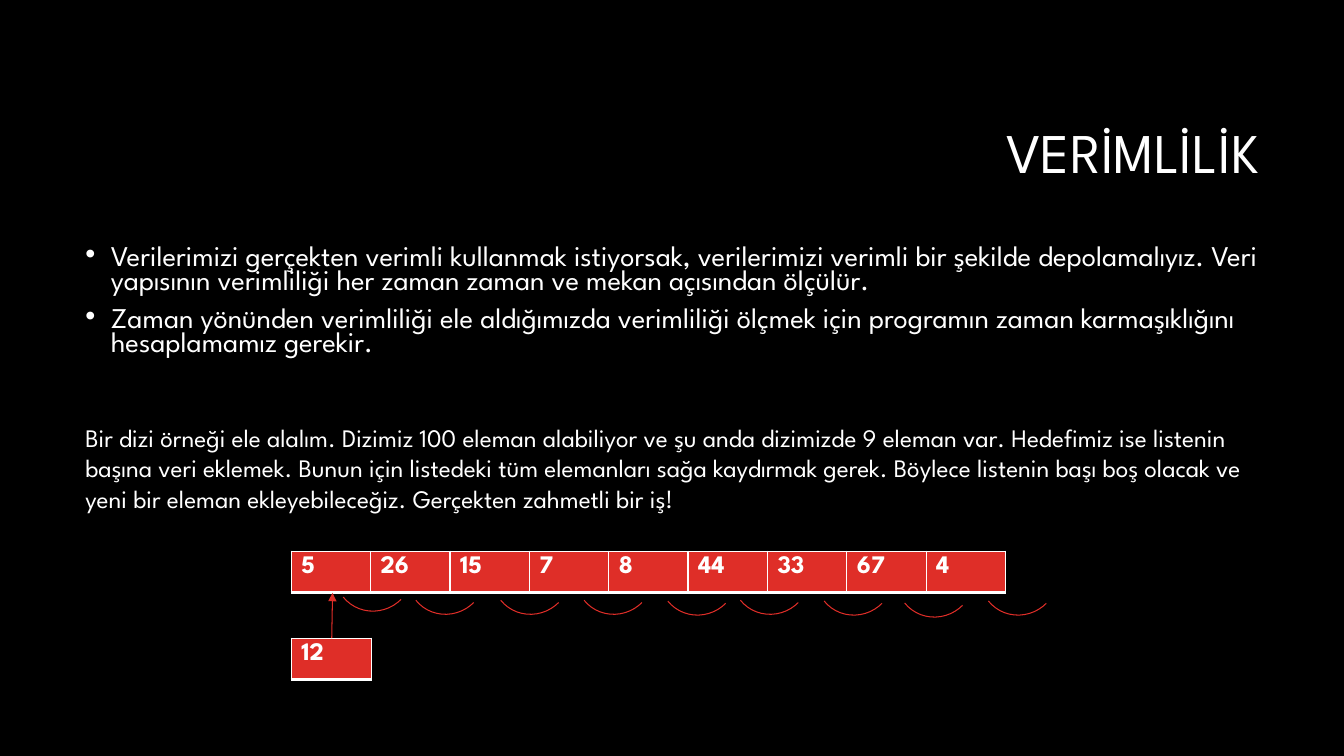
from lxml import etree
from pptx import Presentation
from pptx.dml.color import RGBColor
from pptx.enum.shapes import MSO_CONNECTOR, MSO_SHAPE
from pptx.enum.text import MSO_ANCHOR, MSO_AUTO_SIZE, PP_ALIGN
from pptx.oxml.ns import qn
from pptx.util import Cm, Pt

ARC = MSO_SHAPE.ARC
STRAIGHT = MSO_CONNECTOR.STRAIGHT
MIDDLE, TOP = MSO_ANCHOR.MIDDLE, MSO_ANCHOR.TOP
RIGHT, LEFT = PP_ALIGN.RIGHT, PP_ALIGN.LEFT
NO_AUTOFIT = MSO_AUTO_SIZE.NONE

TITLE = "VERİMLİLİK"
BULLETS = [
    "Verilerimizi gerçekten verimli kullanmak istiyorsak, verilerimizi verimli bir şekilde "
    "depolamalıyız. Veri yapısının verimliliği her zaman zaman ve mekan açısından ölçülür.",
    "Zaman yönünden verimliliği ele aldığımızda verimliliği ölçmek için programın zaman "
    "karmaşıklığını hesaplamamız gerekir.",
]
EXAMPLE = (
    "Bir dizi örneği ele alalım. Dizimiz 100 eleman alabiliyor ve şu anda dizimizde 9 eleman var. "
    "Hedefimiz ise listenin başına veri eklemek. Bunun için listedeki tüm elemanları sağa kaydırmak "
    "gerek. Böylece listenin başı boş olacak ve yeni bir eleman ekleyebileceğiz. "
    "Gerçekten zahmetli bir iş!"
)
ARRAY_VALUES = ["5", "26", "15", "7", "8", "44", "33", "67", "4"]
NEW_VALUE = "12"
ARRAY_LEFT = 7.34
SHIFT_ARCS = [
    (8.43, 13.46), (10.26, 13.54), (12.4, 13.54), (14.5, 13.54), (16.61, 13.56),
    (18.44, 13.54), (20.55, 13.56), (22.58, 13.61), (24.69, 13.56),
]


def color(hex_code):
    return RGBColor.from_string(hex_code)


class SlideBuilder:
    font = "League Spartan"
    background, text, accent = "000000", "FFFFFF", "DF2E28"

    def __init__(self, presentation):
        self.slide = presentation.slides.add_slide(presentation.slide_layouts[1])
        fill = self.slide.background.fill
        fill.solid()
        fill.fore_color.rgb = color(self.background)

    def place(self, shape, left, top, width, height):
        shape.left, shape.top = Cm(left), Cm(top)
        shape.width, shape.height = Cm(width), Cm(height)

    def format_text(self, paragraph, size, bold=False):
        for run in paragraph.runs:
            run.font.name = self.font
            run.font.size = Pt(size)
            run.font.bold = bold
            run.font.color.rgb = color(self.text)

    def title(self, text, *box):
        shape = self.slide.shapes.title
        self.place(shape, *box)
        frame = shape.text_frame
        frame.text = text
        frame.auto_size = NO_AUTOFIT
        frame.vertical_anchor = MIDDLE
        paragraph = frame.paragraphs[0]
        paragraph.alignment = RIGHT
        paragraph.line_spacing = 0.9
        self.format_text(paragraph, 40)

    def bullets(self, texts, *box):
        shape = self.slide.placeholders[1]
        self.place(shape, *box)
        frame = shape.text_frame
        frame.text = "\n".join(texts)
        frame.auto_size = NO_AUTOFIT
        frame.vertical_anchor = TOP
        for paragraph in frame.paragraphs:
            paragraph.line_spacing = 0.7
            paragraph.space_before = Pt(10)
            properties = paragraph._p.get_or_add_pPr()
            properties.set("marL", str(Cm(0.64)))
            properties.set("indent", str(-Cm(0.64)))
            etree.SubElement(properties, qn("a:buFont"), typeface="Arial")
            etree.SubElement(properties, qn("a:buChar"), char="•")
            self.format_text(paragraph, 20.4)

    def text_box(self, text, *box):
        frame = self.slide.shapes.add_textbox(*map(Cm, box)).text_frame
        frame.word_wrap = True
        frame.text = text
        frame.paragraphs[0].alignment = LEFT
        self.format_text(frame.paragraphs[0], 18)

    def value_row(self, values, left, top, cell_width, height):
        box = map(Cm, (left, top, cell_width * len(values), height))
        table = self.slide.shapes.add_table(1, len(values), *box).table
        for column, value in enumerate(values):
            table.columns[column].width = Cm(cell_width)
            cell = table.cell(0, column)
            cell.text = value
            self.format_text(cell.text_frame.paragraphs[0], 18, bold=True)
            self.cell_borders(cell)
            cell.fill.solid()
            cell.fill.fore_color.rgb = color(self.accent)

    def cell_borders(self, cell):
        properties = cell._tc.get_or_add_tcPr()
        for side, width in (("L", 1), ("R", 1), ("T", 1), ("B", 3)):
            border = etree.SubElement(properties, qn(f"a:ln{side}"), w=str(Pt(width)))
            fill = etree.SubElement(border, qn("a:solidFill"))
            etree.SubElement(fill, qn("a:srgbClr"), val=self.text)

    def accent_line(self, shape):
        shape.line.color.rgb = color(self.accent)
        shape.line.width = Pt(0.75)

    def arrow(self, *ends):
        connector = self.slide.shapes.add_connector(STRAIGHT, *map(Cm, ends))
        self.accent_line(connector)
        etree.SubElement(connector.line._get_or_add_ln(), qn("a:tailEnd"), type="triangle")
        etree.SubElement(connector._element.spPr, qn("a:effectLst"))

    def shift_arc(self, left, top):
        arc = self.slide.shapes.add_shape(ARC, Cm(left), Cm(top), Cm(1.98), Cm(1.93))
        arc.adjustments[0] = 158.05
        arc.adjustments[1] = 0
        arc.rotation = 141.2
        arc.shadow.inherit = False
        arc.fill.background()
        self.accent_line(arc)


def main():
    presentation = Presentation()
    presentation.slide_width, presentation.slide_height = Cm(33.87), Cm(19.05)
    builder = SlideBuilder(presentation)
    builder.title(TITLE, 8.05, 2.13, 23.93, 3.58)
    builder.bullets(BULLETS, 1.9, 6.1, 30.05, 3.63)
    builder.text_box(EXAMPLE, 1.9, 10.52, 29.67, 3.33)
    builder.value_row(ARRAY_VALUES, ARRAY_LEFT, 13.89, 2, 1.04)
    builder.value_row([NEW_VALUE], ARRAY_LEFT, 16.08, 2.03, 1.04)
    builder.arrow(8.36, 16.08, 8.38, 14.94)
    for left, top in SHIFT_ARCS:
        builder.shift_arc(left, top)
    presentation.save("out.pptx")


if __name__ == "__main__":
    main()
